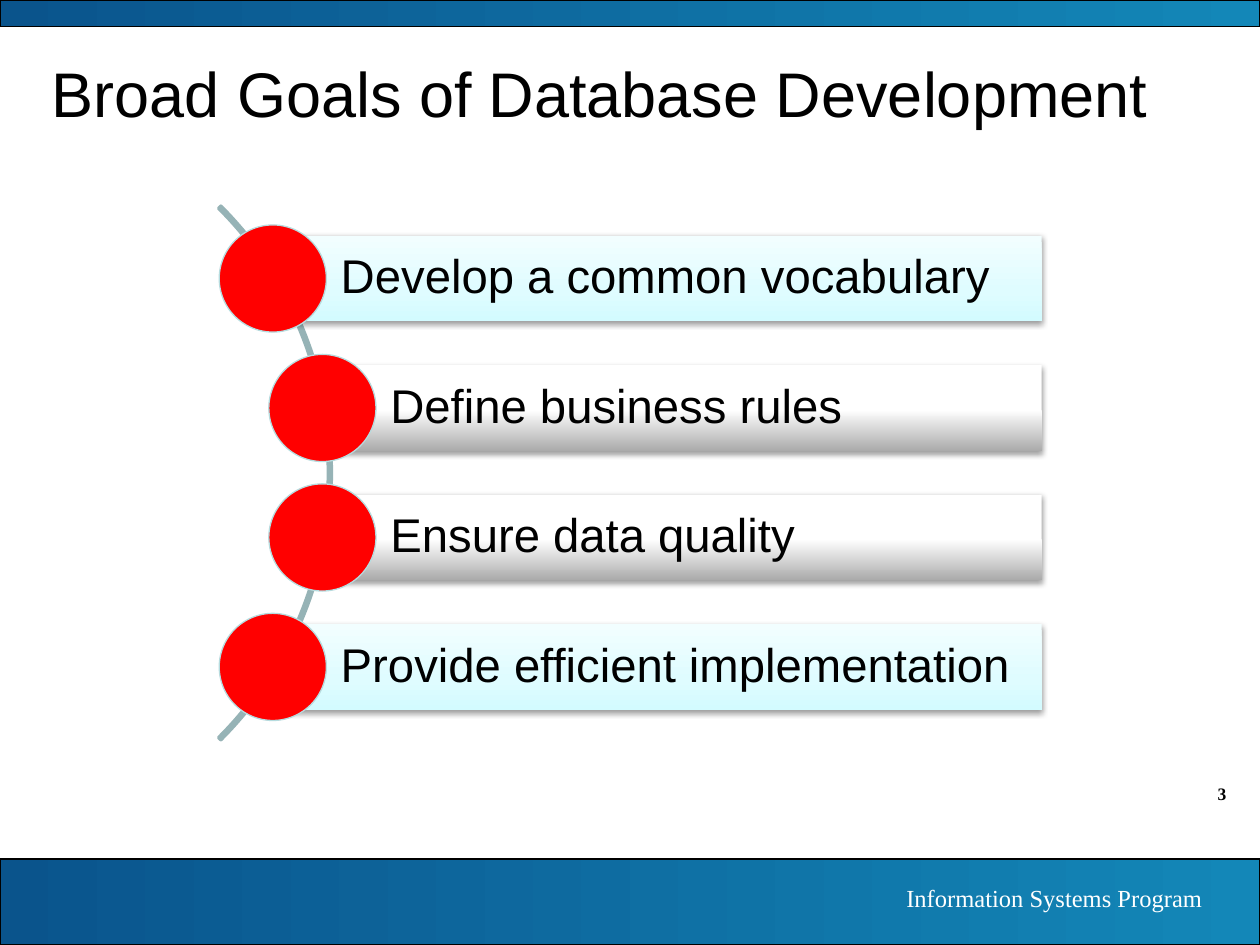
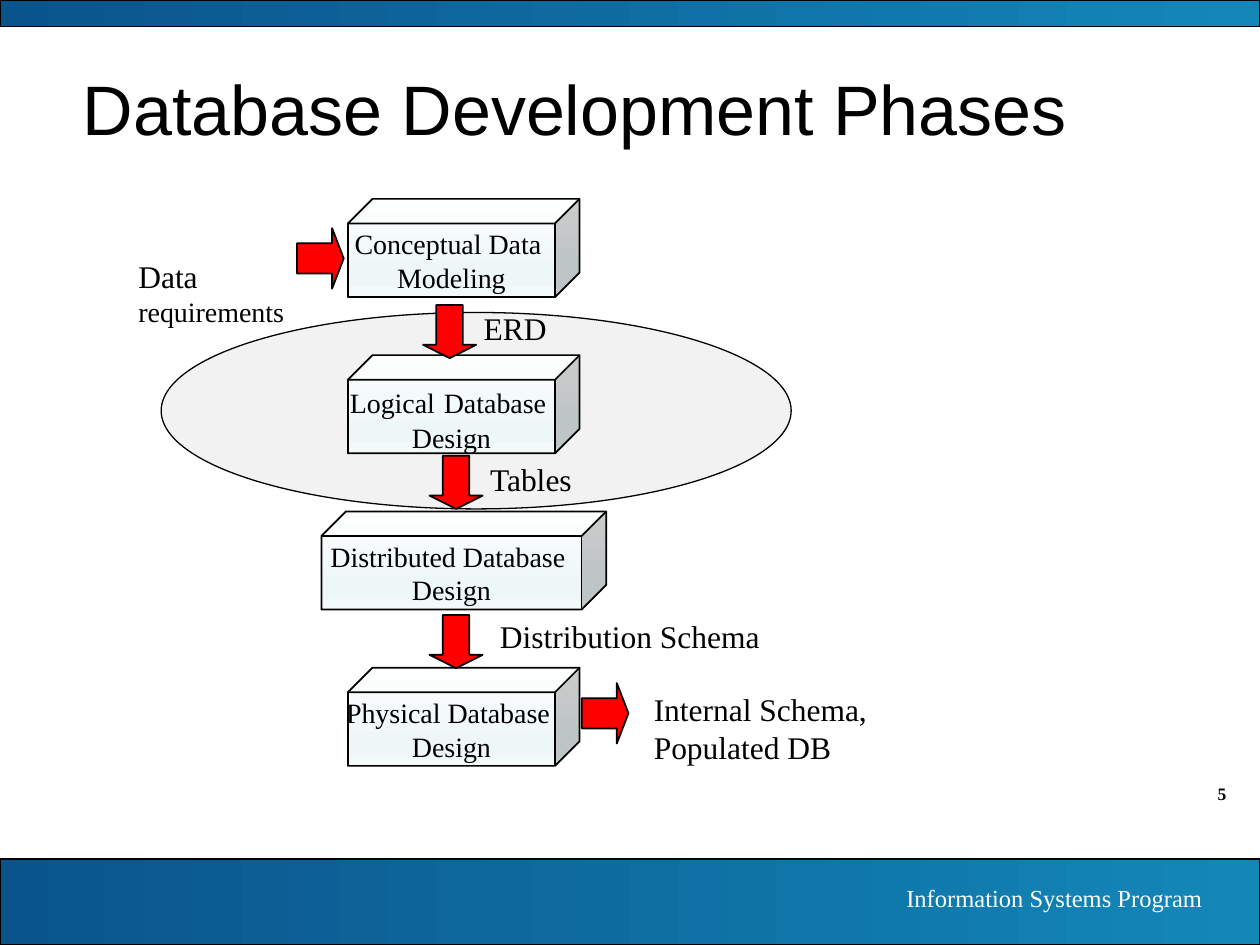
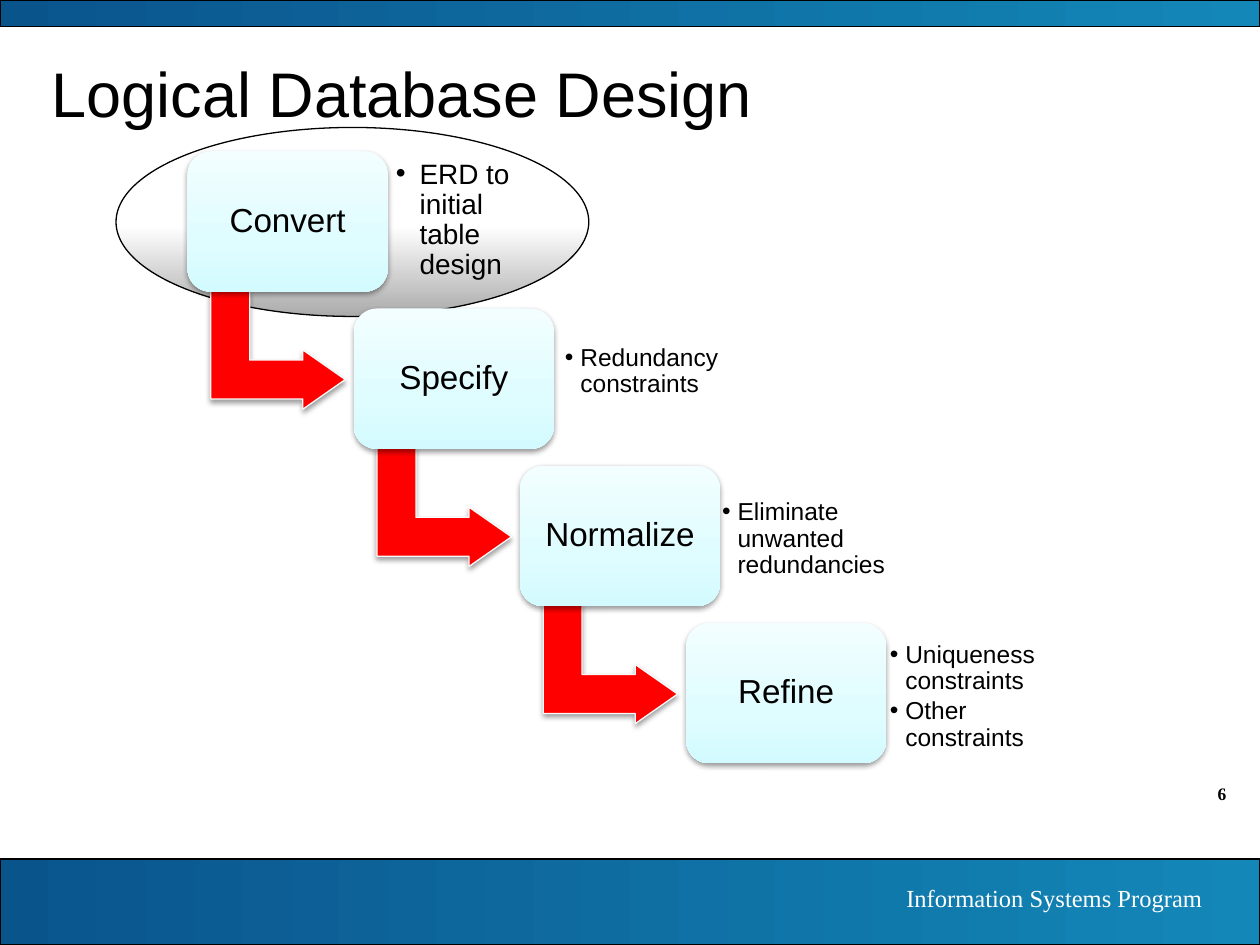
import pptx
import pptx.dml.color
import pptx.enum.shapes
import pptx.enum.text
import pptx.oxml
import pptx.oxml.ns
import pptx.util
from pptx import Presentation

Cm, Pt = pptx.util.Cm, pptx.util.Pt
SHAPE = pptx.enum.shapes.MSO_SHAPE
ALIGN = pptx.enum.text.PP_ALIGN
ANCHOR = pptx.enum.text.MSO_ANCHOR
RGB = pptx.dml.color.RGBColor.from_string
qn = pptx.oxml.ns.qn
A_NS = 'xmlns:a="http://schemas.openxmlformats.org/drawingml/2006/main"'


class Theme:
    sans, serif = "Arial", "Times New Roman"
    black, white, red = "000000", "FFFFFF", "FF0000"
    arc, ring, pale_line, oval = "96B3B6", "B6DCDF", "F9F9F9", "F2F2F2"
    # Gradients: angle clockwise, then (position in percent, colour)
    band = (0, [(0, "0A548C"), (100, "1387B8")])
    aqua = (90, [(0, "F2FEFF"), (65, "DFFCFF"), (100, "D3FBFF")])
    grey = (90, [(0, "FFFFFF"), (52, "FFFFFF"), (100, "ABABAB")])
    cube = (90, [(0, "FDFEFE"), (74, "EEF7F8"), (83, "EEF7F8"), (100, "F4FAFA")])
    title, title_large, goal, step = 36, 40, 27, 19
    label, phase, note, footer, page = 18, 16, 14, 14, 10


def paint(shape, fill=None, line=None, width=0.75, shadow=False):
    """Set fill (colour, gradient or none), outline and shadow."""
    shape.shadow.inherit = False
    if fill is None:
        shape.fill.background()
    elif isinstance(fill, str):
        shape.fill.solid()
        shape.fill.fore_color.rgb = RGB(fill)
    else:
        angle, stops = fill
        shape.fill.gradient()
        shape.fill.gradient_angle = -angle % 360
        stop_list = shape._element.spPr.find(qn("a:gradFill")).find(qn("a:gsLst"))
        stop_list[:] = [
            pptx.oxml.parse_xml(f'<a:gs {A_NS} pos="{position * 1000}"><a:srgbClr val="{colour}"/></a:gs>')
            for position, colour in stops]
    if line:
        shape.line.color.rgb = RGB(line)
        shape.line.width = Pt(width)
    else:
        shape.line.fill.background()
    if shadow:
        shape._element.spPr.find(qn("a:effectLst")).append(pptx.oxml.parse_xml(
            f'<a:outerShdw {A_NS} blurRad="40000" dist="20000" dir="5400000" rotWithShape="0">'
            '<a:srgbClr val="000000"><a:alpha val="38000"/></a:srgbClr></a:outerShdw>'))


def write(shape, paragraphs, size, font=Theme.serif, color=Theme.black, bold=False,
          frame_format={}, paragraph_format={}):
    """Fill a shape with paragraphs, each a string or a list of (text, size) runs."""
    frame = shape.text_frame
    for key, value in {"word_wrap": True, **frame_format}.items():
        setattr(frame, key, value)
    for index, content in enumerate(paragraphs):
        paragraph = frame.add_paragraph() if index else frame.paragraphs[0]
        for key, value in {"alignment": ALIGN.LEFT, **paragraph_format}.items():
            setattr(paragraph, key, value)
        for text, run_size in [(content, size)] if isinstance(content, str) else content:
            run = paragraph.add_run()
            run.text = text
            for key, value in {"name": font, "size": Pt(run_size), "bold": bold}.items():
                setattr(run.font, key, value)
            run.font.color.rgb = RGB(color)


deck = Presentation()
deck.slide_width, deck.slide_height = Cm(25.4), Cm(19.05)
layout = deck.slide_layouts[5]

# Titles and page numbers: text, size, left, top, width, height, page
headings = [
    ("Broad Goals of Database Development", Theme.title, 0.84, 0.84, 23.29, 1.9, "3"),
    ("Database Development Phases", Theme.title_large, 1.47, 1.07, 22.45, 3.18, "5"),
    ("Logical Database Design", Theme.title, 0.84, 0.84, 23.29, 1.9, "6"),
]
slides = []
for heading, size, left, top, width, height, page in headings:
    slide = deck.slides.add_slide(layout)
    slides.append(slide)
    title = slide.shapes.title
    for key, value in {"left": left, "top": top, "width": width, "height": height}.items():
        setattr(title, key, Cm(value))
    write(title, [heading], size, Theme.sans, frame_format={
        "vertical_anchor": ANCHOR.TOP, "margin_left": Cm(0.2), "margin_top": Cm(0.25)})
    page_number = slide.shapes.add_textbox(Cm(22.86), Cm(15.67), Cm(2.11), Cm(0.69))
    write(page_number, [page], Theme.page, bold=True, paragraph_format={"alignment": ALIGN.RIGHT})

goals_slide, phases_slide, design_slide = slides

# Bands and footer, drawn once and moved to the shared layout
shared = []
for top, height in [(17.32, 1.73), (0, 0.53)]:
    band = goals_slide.shapes.add_shape(SHAPE.RECTANGLE, 0, Cm(top), deck.slide_width, Cm(height))
    paint(band, Theme.band, Theme.black)
    shared.append(band)
footer = goals_slide.shapes.add_textbox(Cm(14.1), Cm(17.68), Cm(10.39), Cm(0.86))
write(footer, ["Information Systems Program"], Theme.footer, color=Theme.white,
      paragraph_format={"alignment": ALIGN.RIGHT})
for number, part in enumerate(shared + [footer], start=20):
    part._element.nvSpPr.cNvPr.set("id", str(number))
    layout.shapes._spTree.append(part._element)

# Goals: arc, then one bar and circle per goal
arc = goals_slide.shapes.add_shape(SHAPE.BLOCK_ARC, Cm(-8.53), Cm(1.93), Cm(15.21), Cm(15.21))
for index, value in enumerate([189, 27, 0.004]):
    arc.adjustments[index] = value
paint(arc, line=Theme.arc, width=2)

goals = [
    ("Develop a common vocabulary", 5.5, Theme.aqua),
    ("Define business rules", 6.5, Theme.grey),
    ("Ensure data quality", 6.5, Theme.grey),
    ("Provide efficient implementation", 5.5, Theme.aqua),
]
bar_right, bar_height, diameter = 21, 1.73, 2.16
for row, (goal, center, fill) in enumerate(goals):
    top = 4.75 + 2.61 * row
    bar = goals_slide.shapes.add_shape(
        SHAPE.RECTANGLE, Cm(center), Cm(top), Cm(bar_right - center), Cm(bar_height))
    paint(bar, fill, shadow=True)
    write(bar, [goal], Theme.goal, Theme.sans,
          frame_format={"vertical_anchor": ANCHOR.MIDDLE, "margin_left": Cm(1.37), "margin_right": Cm(0.18)},
          paragraph_format={"line_spacing": 0.9})
    circle = goals_slide.shapes.add_shape(
        SHAPE.OVAL, Cm(center - diameter / 2), Cm(top + (bar_height - diameter) / 2),
        Cm(diameter), Cm(diameter))
    paint(circle, Theme.red, Theme.ring)

# Phases: highlight behind the logical design
highlight = phases_slide.shapes.add_shape(SHAPE.OVAL, Cm(3.25), Cm(6.3), Cm(12.7), Cm(3.96))
paint(highlight, Theme.oval, Theme.black)

phases = [
    (["Conceptual Data ", "Modeling"], 4.67),
    ([[("Logical", 16), (" ", 20), ("Database ", 16)], "Design"], 4.67),
    (["Distributed Database ", "Design"], 5.74),
    (["Physical Database ", "Design"], 4.67),
]
for row, (phase, width) in enumerate(phases):
    cube = phases_slide.shapes.add_shape(
        SHAPE.CUBE, Cm(9.35 - width / 2), Cm(4.01 + 3.15 * row), Cm(width), Cm(1.98))
    paint(cube, Theme.cube, Theme.black, 1)
    write(cube, phase, Theme.phase,
          frame_format={"word_wrap": False, "vertical_anchor": ANCHOR.MIDDLE},
          paragraph_format={"alignment": ALIGN.CENTER})

# Phases: arrows between and beside the cubes
flows = [
    (SHAPE.DOWN_ARROW, 8.53, 6.15, 1.07, 1.07),
    (SHAPE.DOWN_ARROW, 8.66, 9.19, 1.07, 1.07),
    (SHAPE.DOWN_ARROW, 8.66, 12.4, 1.07, 1.07),
    (SHAPE.RIGHT_ARROW, 11.73, 13.77, 0.94, 1.22),
    (SHAPE.RIGHT_ARROW, 5.99, 4.6, 0.94, 1.22),
]
for kind, *box in flows:
    flow = phases_slide.shapes.add_shape(kind, *map(Cm, box))
    flow.adjustments[0], flow.adjustments[1] = 0.5, 0.25
    paint(flow, Theme.red, Theme.black, 1)

# Phases: inputs and results
results = [
    ("ERD", 9.5, 6.1, 1.9, 1.02),
    ("Tables", 9.63, 9.14, 3.12, 1.02),
    ("Distribution Schema", 9.83, 12.32, 6.3, 1.02),
    ("Internal Schema, Populated DB", 12.93, 13.79, 4.85, 1.8),
    ([("Data ", 18), ("requirements", 16)], 2.54, 5.05, 4.01, 1.7),
]
for result, *box in results:
    write(phases_slide.shapes.add_textbox(*map(Cm, box)), [result], Theme.label)

# Logical design: highlight behind the first step
highlight = design_slide.shapes.add_shape(SHAPE.OVAL, Cm(2.34), Cm(2.57), Cm(9.53), Cm(3.81))
paint(highlight, Theme.grey, Theme.black)

# Logical design: staircase of steps; notes have left, top, width, size and indent
steps = [
    ("Convert", ["ERD to initial table design"], 7.82, 3.3, 2.95, Theme.phase, 0.48),
    ("Specify", ["Redundancy constraints"], 11.23, 6.35, 3.96, Theme.note, 0.31),
    ("Normalize", ["Eliminate unwanted redundancies"], 14.4, 9.73, 4.04, Theme.note, 0.31),
    ("Refine", ["Uniqueness constraints", "Other constraints"], 17.78, 12.9, 3.71, Theme.note, 0.31),
]
for index, (step, notes, note_left, note_top, note_width, size, indent) in enumerate(steps):
    left, top = 3.78 + 3.35 * index, 3.05 + 3.17 * index
    if index < len(steps) - 1:
        turn = design_slide.shapes.add_shape(
            SHAPE.BENT_UP_ARROW, Cm(left + 0.63), Cm(top + 2.65), Cm(2.39), Cm(2.71))
        turn.rotation = 90
        for position, value in enumerate([0.328, 0.25, 0.358]):
            turn.adjustments[position] = value
        paint(turn, Theme.red, Theme.pale_line, shadow=True)
    step_box = design_slide.shapes.add_shape(
        SHAPE.ROUNDED_RECTANGLE, Cm(left), Cm(top), Cm(4.04), Cm(2.83))
    paint(step_box, Theme.aqua, shadow=True)
    write(step_box, [step], Theme.step, Theme.sans,
          frame_format={"vertical_anchor": ANCHOR.MIDDLE},
          paragraph_format={"alignment": ALIGN.CENTER, "line_spacing": 0.9})

    note_box = design_slide.shapes.add_textbox(Cm(note_left), Cm(note_top), Cm(note_width), Cm(2.29))
    write(note_box, notes, size, Theme.sans,
          frame_format={"vertical_anchor": ANCHOR.MIDDLE, "margin_left": Cm(0.16), "margin_right": Cm(0.16)},
          paragraph_format={"line_spacing": 0.9, "space_after": Pt(2)})
    for paragraph in note_box.text_frame.paragraphs:
        properties = paragraph._p.get_or_add_pPr()
        properties.set("marL", str(Cm(indent)))
        properties.set("indent", str(-Cm(indent)))
        properties.append(pptx.oxml.parse_xml(f'<a:buFont {A_NS} typeface="{Theme.sans}"/>'))
        properties.append(pptx.oxml.parse_xml(f'<a:buChar {A_NS} char="•"/>'))

deck.save("out.pptx")
